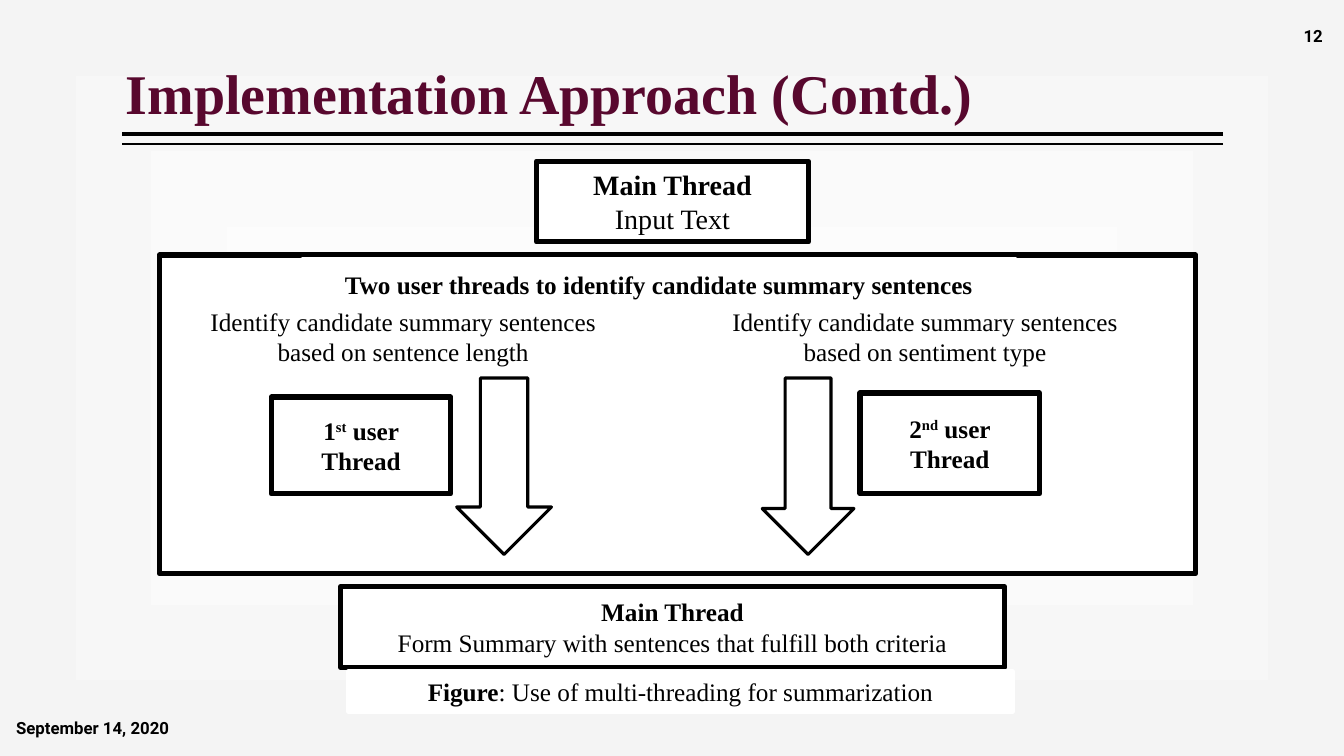
"""Build the slide on the multi-threaded implementation approach."""
import lxml.etree
import pptx
import pptx.dml.color
import pptx.enum.shapes
import pptx.enum.text
import pptx.oxml.ns
import pptx.util
from dataclasses import dataclass

Inches = pptx.util.Inches
Pt = pptx.util.Pt
RGB = pptx.dml.color.RGBColor
SHAPE = pptx.enum.shapes.MSO_SHAPE
ALIGN = pptx.enum.text.PP_ALIGN
ANCHOR = pptx.enum.text.MSO_ANCHOR
qn = pptx.oxml.ns.qn


@dataclass(frozen=True)
class Theme:
    black: RGB = RGB(0x00, 0x00, 0x00)
    white: RGB = RGB(0xFF, 0xFF, 0xFF)
    edge: RGB = RGB(0xF4, 0xF4, 0xF4)
    title: RGB = RGB(0x58, 0x08, 0x2E)
    serif: str = "Times New Roman"
    sans: str = "Roboto"
    title_size: int = 40
    lead_size: int = 20
    body_size: int = 18
    footer_size: int = 12
    border: float = 3.78
    arrow_border: float = 2.25


theme = Theme()


def add_block(kind, place, border_color, border_width, lines=(), size=theme.body_size):
    """Add a white shape; each line is a list of (text, bold, superscript) runs."""
    shape = slide.shapes.add_shape(kind, *map(Inches, place))
    shape.shadow.inherit = False
    shape.fill.solid()
    shape.fill.fore_color.rgb = theme.white
    shape.line.color.rgb = border_color
    shape.line.width = Pt(border_width)
    frame = shape.text_frame
    frame.word_wrap = True
    frame.vertical_anchor = ANCHOR.MIDDLE
    for index, runs in enumerate(lines):
        paragraph = frame.add_paragraph() if index else frame.paragraphs[0]
        paragraph.alignment = ALIGN.CENTER
        paragraph.font.name = theme.serif
        paragraph.font.size = Pt(size)
        paragraph.font.color.rgb = theme.black
        for text, bold, superscript in runs:
            run = paragraph.add_run()
            run.text = text
            run.font.bold = bold
            if superscript:
                run._r.get_or_add_rPr().set("baseline", "30000")


def add_label(place, text, font_name, size, color, anchor, alignment):
    """Add a bold one-line text box without side insets."""
    frame = slide.shapes.add_textbox(*map(Inches, place)).text_frame
    frame.word_wrap = True
    frame.margin_left = frame.margin_right = 0
    frame.vertical_anchor = anchor
    paragraph = frame.paragraphs[0]
    paragraph.text = text
    paragraph.alignment = alignment
    paragraph.font.name = font_name
    paragraph.font.size = Pt(size)
    paragraph.font.bold = True
    paragraph.font.color.rgb = color
    return paragraph


presentation = pptx.Presentation()
presentation.slide_width = Inches(13.33)
presentation.slide_height = Inches(7.5)
slide = presentation.slides.add_slide(presentation.slide_layouts[6])

background = slide.background.fill
background.gradient()
for stop, color in zip(background.gradient_stops, (theme.white, theme.edge)):
    stop.color.rgb = color
linear = slide.element.find(".//" + qn("a:lin"))
gradient = linear.getparent()
gradient.remove(linear)
gradient_path = lxml.etree.SubElement(gradient, qn("a:path"), {"path": "rect"})
lxml.etree.SubElement(gradient_path, qn("a:fillToRect"), dict.fromkeys("ltrb", "20000"))

for rule_top, rule_width in ((1.33, 3), (1.43, 1)):
    rule = slide.shapes.add_connector(
        pptx.enum.shapes.MSO_CONNECTOR.STRAIGHT,
        Inches(12.13), Inches(rule_top), Inches(1.21), Inches(rule_top))
    rule.line.color.rgb = theme.black
    rule.line.width = Pt(rule_width)
    lxml.etree.SubElement(rule.element.spPr, qn("a:effectLst"))

title = add_label((1.25, 0.4, 11.5, 0.91), "Implementation Approach (Contd.)", theme.serif,
                  theme.title_size, theme.title, ANCHOR.BOTTOM, ALIGN.LEFT)
title.line_spacing = 0.9
add_label((12.43, 0.16, 0.69, 0.4), "12", theme.sans, theme.footer_size,
          theme.black, ANCHOR.MIDDLE, ALIGN.RIGHT)

main_heading = [("Main Thread", True, False)]
add_block(SHAPE.RECTANGLE, (5.32, 1.6, 2.7, 0.8), theme.black, theme.border,
          [main_heading, [("Input Text", False, False)]], theme.lead_size)
add_block(SHAPE.RECTANGLE, (3.38, 5.82, 6.58, 0.8), theme.black, theme.border,
          [main_heading,
           [("Form Summary with sentences that fulfill both criteria", False, False)]])
add_block(SHAPE.RECTANGLE, (1.58, 2.53, 10.28, 3.16), theme.black, theme.border)

captions = (
    ((3, 2.58, 7.07, 0.48),
     [("Two user threads to identify candidate summary sentences", True, False)]),
    ((1.85, 3.08, 4.3, 0.52),
     [("Identify candidate summary sentences based on sentence length", False, False)]),
    ((6.89, 3.08, 4.57, 0.52),
     [("Identify candidate summary sentences based on sentiment type", False, False)]),
    ((3.46, 6.66, 6.58, 0.4),
     [("Figure", True, False), (": Use of multi-threading for summarization", False, False)]),
)
for place, runs in captions:
    add_block(SHAPE.RECTANGLE, place, theme.white, theme.border, [runs])

for arrow_left, arrow_width in ((4.53, 0.94), (7.56, 0.91)):
    add_block(SHAPE.DOWN_ARROW, (arrow_left, 3.75, arrow_width, 1.75),
              theme.black, theme.arrow_border)

user_threads = (
    ((2.69, 3.94, 1.78, 0.96), "1", "st"),
    ((8.53, 3.9, 1.78, 1), "2", "nd"),
)
for place, number, suffix in user_threads:
    add_block(SHAPE.RECTANGLE, place, theme.black, theme.border,
              [[(number, True, False), (suffix, True, True), (" user Thread", True, False)]])

add_label((0.16, 7.08, 1.62, 0.28), "September 14, 2020", theme.sans, theme.footer_size,
          theme.black, ANCHOR.MIDDLE, ALIGN.LEFT)

presentation.save("out.pptx")
